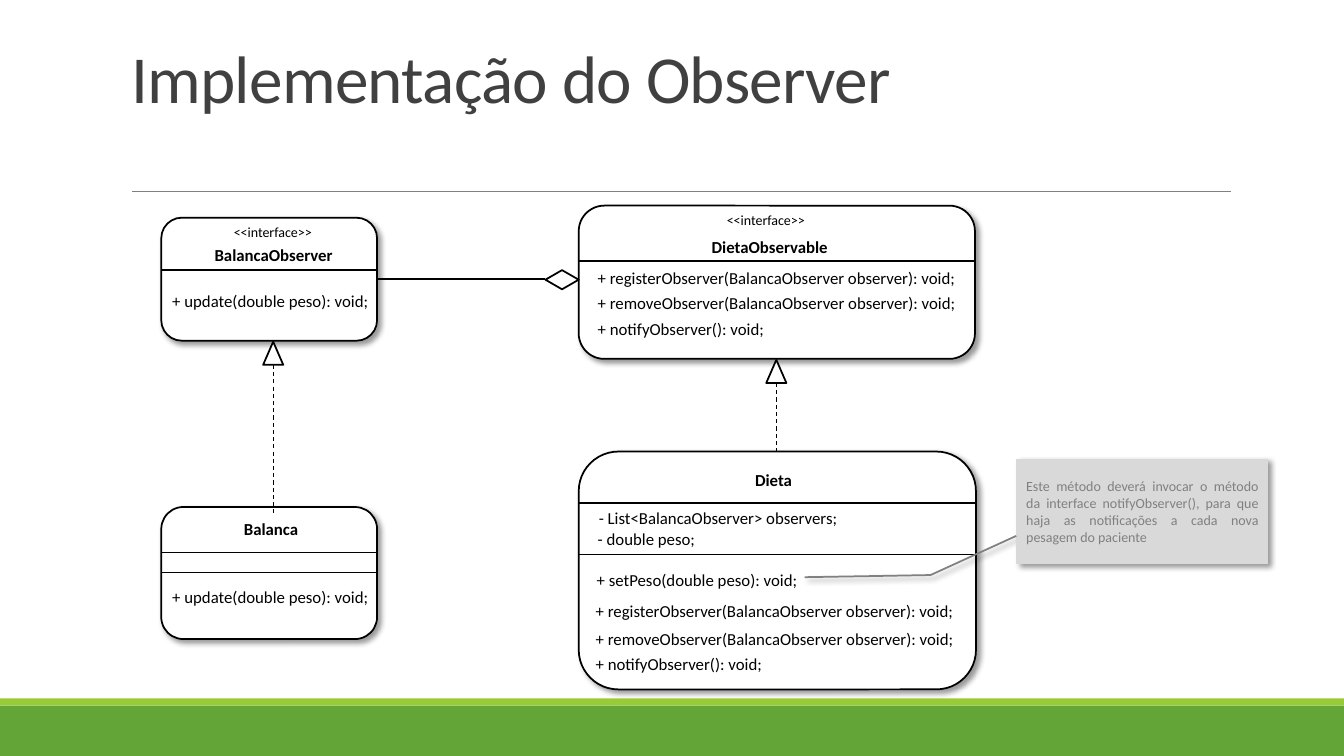
from lxml import etree
from pptx import Presentation
from pptx import util as u
from pptx.dml.color import RGBColor
from pptx.enum import dml, shapes, text
from pptx.oxml.ns import qn

BLACK = RGBColor(0x00, 0x00, 0x00)
WHITE = RGBColor(0xFF, 0xFF, 0xFF)
GREY = RGBColor(0x80, 0x80, 0x80)
NOTE = RGBColor(0xD9, 0xD9, 0xD9)
DARK = RGBColor(0x40, 0x40, 0x40)
GREEN = RGBColor(0x63, 0xA5, 0x37)
LIME = RGBColor(0x99, 0xCB, 0x38)
SHAPE = shapes.MSO_SHAPE
ANCHOR = text.MSO_ANCHOR
ROW = 0.3


def apply(obj, values):
    """Set every attribute of obj named in a dict."""
    for name, value in values.items():
        setattr(obj, name, value)


def inches(*values):
    """Turn numbers into lengths."""
    return [u.Inches(v) for v in values]


class Diagram:
    """Holds the style and the current slide."""

    font = "Calibri"
    border = 1.25

    def __init__(self, s):
        self.s = s

    def add_text(self, tf, content, size, color=BLACK, bold=False, **para):
        """Fill a text frame with one formatted paragraph."""
        p = tf.paragraphs[0]
        apply(p, para)
        r = p.add_run()
        r.text = content
        apply(r.font, {"name": self.font, "size": u.Pt(size), "bold": bold})
        r.font.color.rgb = color
        return r

    def title(self, content, at):
        """Move and format the title placeholder."""
        sp = self.s.shapes.title
        apply(sp, dict(zip(("left", "top", "width", "height"), inches(*at))))
        apply(sp.text_frame, {"vertical_anchor": ANCHOR.BOTTOM, "word_wrap": True})
        r = self.add_text(sp.text_frame, content, 48, DARK,
                          alignment=text.PP_ALIGN.LEFT, line_spacing=0.85)
        r.font._element.set("spc", "-50")

    def shape(self, kind, at, fill=WHITE, line=BLACK, shadow=False):
        """Add a filled preset shape."""
        sp = self.s.shapes.add_shape(kind, *inches(*at))
        sp.shadow.inherit = False
        sp.fill.solid()
        sp.fill.fore_color.rgb = fill
        if line is None:
            sp.line.fill.background()
        else:
            sp.line.color.rgb = line
            sp.line.width = u.Pt(self.border)
        if shadow:
            self.shadow(sp)
        return sp

    def shadow(self, sp):
        """Give a shape a soft shadow to the lower right."""
        effects = sp._element.spPr.find(qn("a:effectLst"))
        outer = etree.SubElement(
            effects, qn("a:outerShdw"), blurRad=str(u.Pt(4)), dist=str(u.Pt(3)),
            dir="2700000", algn="tl", rotWithShape="0")
        color = etree.SubElement(outer, qn("a:srgbClr"), val=str(BLACK))
        etree.SubElement(color, qn("a:alpha"), val="40000")

    def line(self, start, end, width=border, color=BLACK, dash=None):
        """Add a straight line without shadow."""
        c = self.s.shapes.add_connector(
            shapes.MSO_CONNECTOR.STRAIGHT, *inches(*start, *end))
        c.line.color.rgb = color
        apply(c.line, {"width": u.Pt(width), "dash_style": dash})
        etree.SubElement(c._element.spPr, qn("a:effectLst"))

    def label(self, content, left, top, width, size=12, bold=False):
        """Add a one-line text box."""
        sp = self.s.shapes.add_textbox(*inches(left, top, width, ROW))
        apply(sp.text_frame, {"word_wrap": False,
                              "auto_size": text.MSO_AUTO_SIZE.SHAPE_TO_FIT_TEXT})
        self.add_text(sp.text_frame, content, size, bold=bold)

    def class_box(self, at, name, dividers, members, stereotype=None):
        """Add a UML class with its dividers, name and members."""
        self.shape(SHAPE.ROUNDED_RECTANGLE, at, shadow=True)
        left, top, width, _ = at
        for y in dividers:
            self.line((left, y), (left + width, y))
        if stereotype:
            self.label("<<interface>>", *stereotype, 0.99, size=10)
        self.label(*name, bold=True)
        for member in members:
            self.label(*member)

    def realization(self, x, top, bottom):
        """Add a hollow arrowhead with a dashed line below it."""
        self.line((x, top + 0.23), (x, bottom), 0.75, dash=dml.MSO_LINE.DASH)
        self.shape(SHAPE.ISOSCELES_TRIANGLE, (x - 0.1, top, 0.2, 0.23))

    def note(self, content, at, adjustments):
        """Add a callout with justified text."""
        sp = self.shape(SHAPE.LINE_CALLOUT_3_NO_BORDER, at, NOTE, GREY, True)
        for i, value in enumerate(adjustments):
            sp.adjustments[i] = value
        apply(sp.text_frame, {"word_wrap": True, "vertical_anchor": ANCHOR.MIDDLE})
        self.add_text(sp.text_frame, content, 10, GREY,
                      alignment=text.PP_ALIGN.JUSTIFY)


UPDATE = "+ update(double peso): void;"
OBSERVABLE = (("+ registerObserver(BalancaObserver observer): void;", 3.78),
              ("+ removeObserver(BalancaObserver observer): void;", 3.79),
              ("+ notifyObserver(): void;", 1.87))


def observable_methods(left, tops):
    """Place the methods shared by DietaObservable and Dieta."""
    return [(content, left, top, width)
            for (content, width), top in zip(OBSERVABLE, tops)]


prs = Presentation()
apply(prs, {"slide_width": u.Inches(13.33), "slide_height": u.Inches(7.5)})
d = Diagram(prs.slides.add_slide(prs.slide_layouts[5]))

d.shape(SHAPE.RECTANGLE, (0, 7, 13.33, 0.5), GREEN, None)
d.shape(SHAPE.RECTANGLE, (0, 6.93, 13.33, 0.07), LIME, None)
d.line((1.31, 1.9), (12.21, 1.9), 0.5, GREY)
d.title("Implementação do Observer", (1.2, 0.31, 11, 0.9))

d.class_box((1.6, 5.03, 2.14, 1.31), ("Balanca", 2.32, 5.1, 0.75),
            (5.48, 5.68), [(UPDATE, 1.61, 5.77, 2.17)])
d.class_box((5.74, 4.48, 3.94, 2.36), ("Dieta", 7.39, 4.61, 0.57), (4.99, 5.5),
            [("- List<BalancaObserver> observers;", 5.84, 4.99, 2.59),
             ("- double peso;", 5.83, 5.2, 1.18),
             ("+ setPeso(double peso): void;", 5.82, 5.6, 2.22),
             *observable_methods(5.81, (5.91, 6.19, 6.44))])
d.class_box((1.6, 2.16, 2.14, 1.22), ("BalancaObserver", 2.03, 2.38, 1.38),
            (2.68,), [(UPDATE, 1.61, 2.84, 2.17)], (2.22, 2.17))
d.class_box((5.74, 2.04, 3.93, 1.52), ("DietaObservable", 6.96, 2.3, 1.36),
            (2.59,), observable_methods(5.83, (2.61, 2.86, 3.11)), (7.11, 2.05))

d.shape(SHAPE.DIAMOND, (5.41, 2.68, 0.33, 0.19))
d.line((5.41, 2.77), (3.74, 2.77), 1)
d.realization(7.7, 3.57, 4.48)
d.realization(2.71, 3.39, 5.1)
d.note("Este método deverá invocar o método da interface notifyObserver(), "
       "para que haja as notificações a cada nova pesagem do paciente",
       (10.08, 4.55, 2.5, 1.05),
       (1.12, -0.84, 1.11, -0.58, 1.1, -0.34, 0.73, 0))

prs.save("out.pptx")
